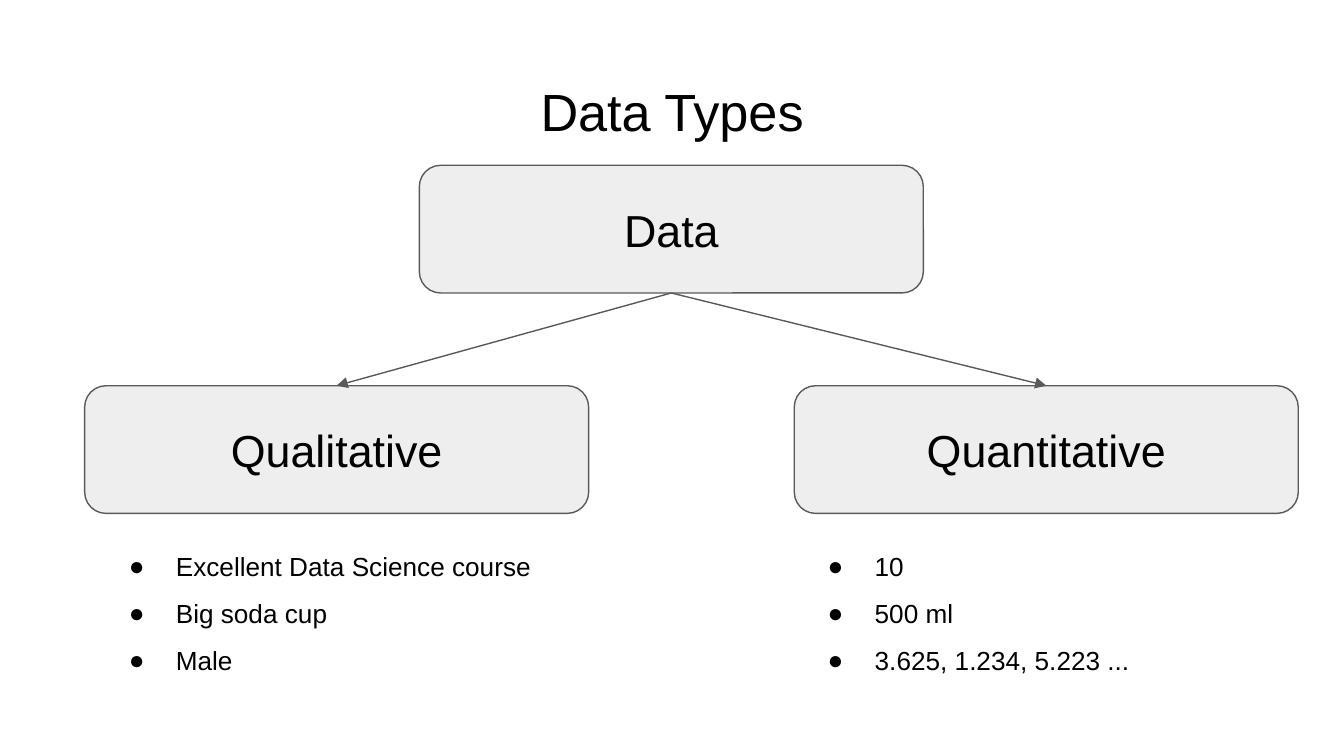
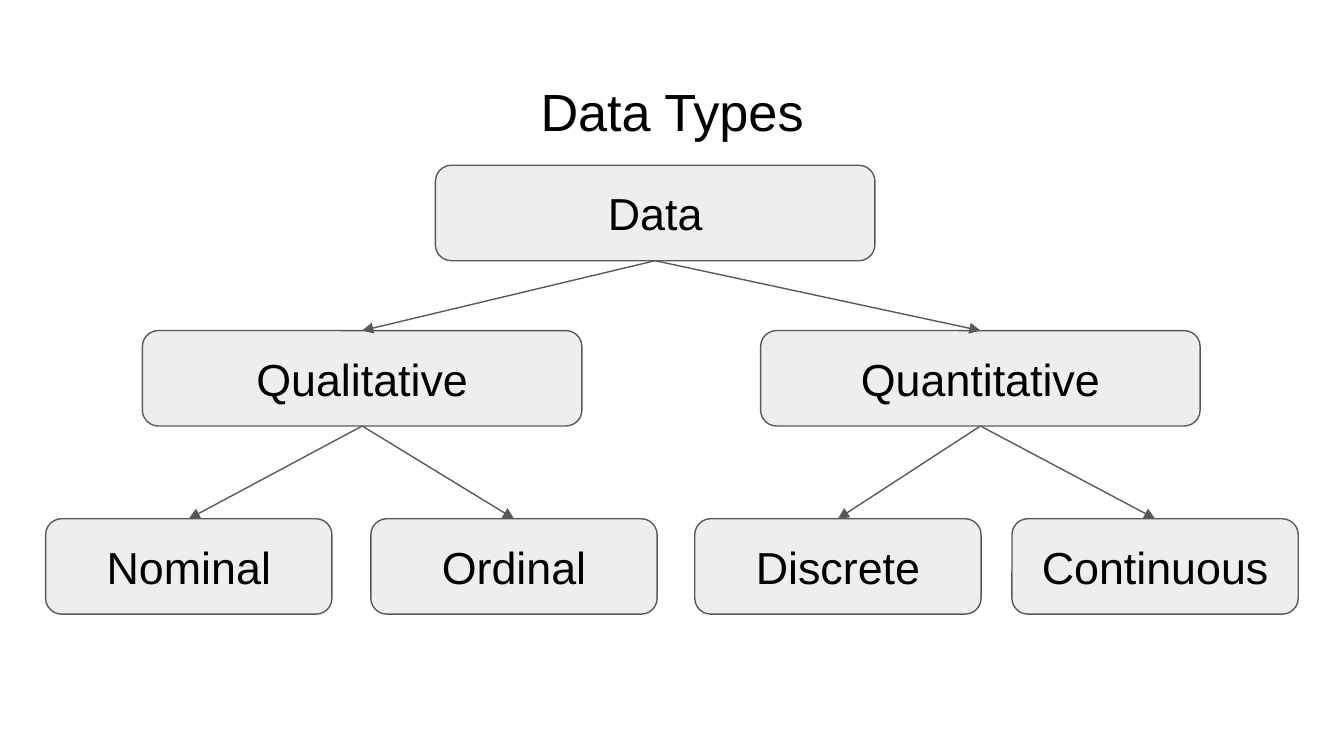
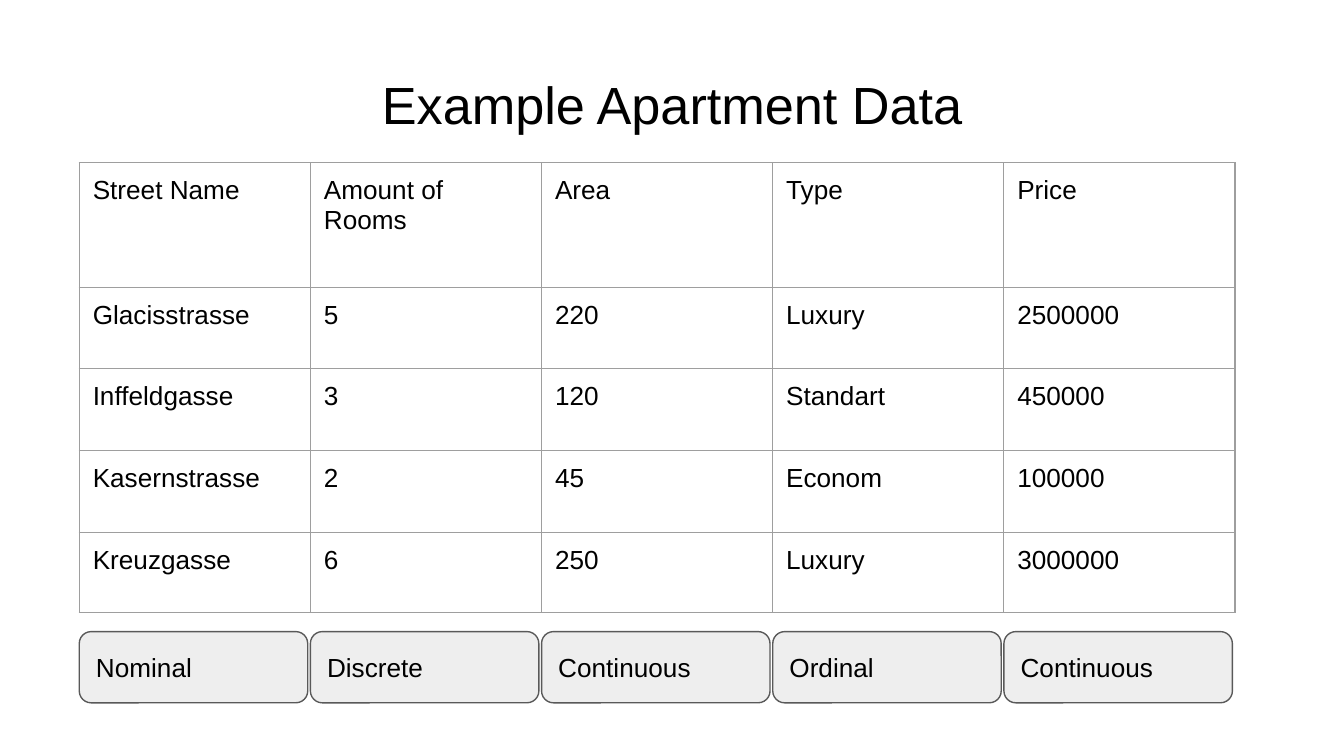
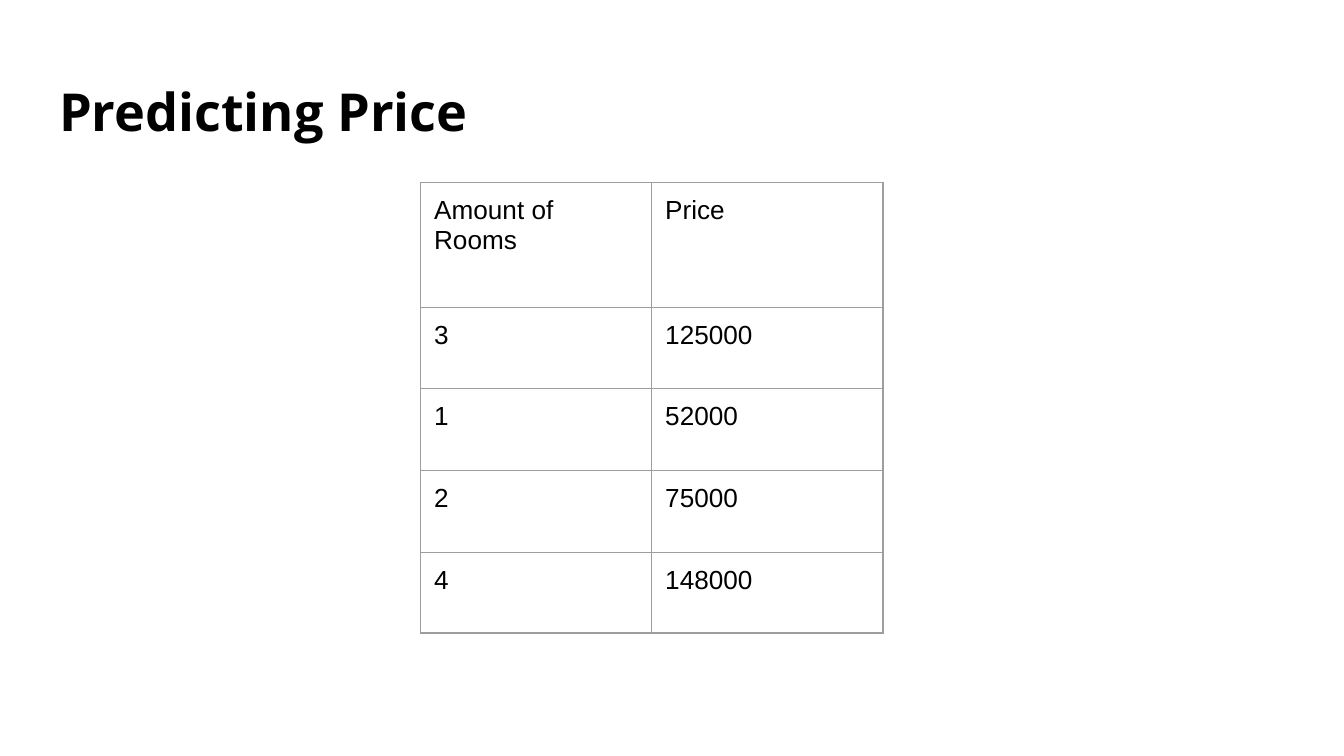
from lxml import etree
from pptx import Presentation
from pptx.dml.color import RGBColor
from pptx.enum.shapes import MSO_CONNECTOR, MSO_SHAPE
from pptx.enum.text import MSO_ANCHOR, MSO_AUTO_SIZE, PP_ALIGN
from pptx.oxml.ns import qn
from pptx.util import Inches, Pt

LEFT, CENTER = PP_ALIGN.LEFT, PP_ALIGN.CENTER
TOP, MIDDLE = MSO_ANCHOR.TOP, MSO_ANCHOR.MIDDLE
ROUNDED = MSO_SHAPE.ROUNDED_RECTANGLE
STRAIGHT = MSO_CONNECTOR.STRAIGHT
NO_AUTOFIT = MSO_AUTO_SIZE.NONE
TITLE_ONLY = 5
TOP_SITE, BOTTOM_SITE = 0, 2


def color(hex_code):
    return RGBColor.from_string(hex_code)


def add_xml(parent, tag, **attributes):
    return etree.SubElement(parent, qn(tag), attributes)


class Deck:
    """Shared style and the slide being built."""

    INK, BOX, EDGE, GRID = "000000", "EEEEEE", "595959", "9E9E9E"
    FONT, TITLE_FONT = "Arial", "Open Sans"
    TITLE, NODE, BODY = 28, 24, 14
    LINE = 0.75
    COLUMN = 1.72
    ROWS = [0.93, 0.6, 0.61, 0.61, 0.6]

    def __init__(self):
        self.presentation = Presentation()
        # 16:9 page
        self.presentation.slide_width = Inches(10)
        self.presentation.slide_height = Inches(10) * 9 // 16
        self.slide = None

    def style_text(self, frame, size, align=LEFT, anchor=TOP, font=FONT, bold=False):
        frame.word_wrap = True
        frame.vertical_anchor = anchor
        frame.margin_left = frame.margin_right = Inches(0.1)
        frame.margin_top = frame.margin_bottom = Inches(0.1)
        for paragraph in frame.paragraphs:
            paragraph.alignment = align
            for run in paragraph.runs:
                run.font.name = font
                run.font.size = Pt(size)
                run.font.bold = bold
                run.font.color.rgb = color(self.INK)

    def new_slide(self, heading, top=0.49, **style):
        layout = self.presentation.slide_layouts[TITLE_ONLY]
        self.slide = self.presentation.slides.add_slide(layout)
        title = self.slide.shapes.title
        title.left, title.top = Inches(0.34), Inches(top)
        title.width, title.height = Inches(9.32), Inches(0.63)
        title.text_frame.text = heading
        title.text_frame.auto_size = NO_AUTOFIT
        self.style_text(title.text_frame, self.TITLE, **style)

    def box(self, label, left, top, width, height, size=NODE, align=CENTER):
        box = self.slide.shapes.add_shape(
            ROUNDED, Inches(left), Inches(top), Inches(width), Inches(height))
        box.shadow.inherit = False
        box.fill.solid()
        box.fill.fore_color.rgb = color(self.BOX)
        box.line.color.rgb = color(self.EDGE)
        box.line.width = Pt(self.LINE)
        box.text_frame.text = label
        self.style_text(box.text_frame, size, align, MIDDLE)
        return box

    def branch(self, parent, children):
        for child in children:
            arrow = self.slide.shapes.add_connector(STRAIGHT, 0, 0, 0, 0)
            arrow.begin_connect(parent, BOTTOM_SITE)
            arrow.end_connect(child, TOP_SITE)
            arrow.line.color.rgb = color(self.EDGE)
            arrow.line.width = Pt(self.LINE)
            add_xml(arrow.line._get_or_add_ln(), "a:tailEnd", type="triangle")
            add_xml(arrow._element.spPr, "a:effectLst")

    def bullets(self, items, left, top, width, height):
        area = self.slide.shapes.add_textbox(
            Inches(left), Inches(top), Inches(width), Inches(height))
        frame = area.text_frame
        frame.text = "\n".join(items)
        for paragraph in frame.paragraphs:
            paragraph.line_spacing = 1.5
            properties = paragraph._p.get_or_add_pPr()
            properties.set("marL", str(Inches(0.5)))
            properties.set("indent", str(Inches(-0.35)))
            bullet_color = add_xml(properties, "a:buClr")
            add_xml(bullet_color, "a:srgbClr", val=self.INK)
            add_xml(properties, "a:buSzPts", val=str(self.BODY * 100))
            add_xml(properties, "a:buFont", typeface=self.FONT)
            add_xml(properties, "a:buChar", char="●")
        self.style_text(frame, self.BODY)

    def table(self, records, left, top):
        columns = len(records[0])
        table = self.slide.shapes.add_table(
            len(records), columns, Inches(left), Inches(top),
            Inches(self.COLUMN * columns), Inches(sum(self.ROWS))).table
        table.first_row = table.horz_banding = False
        for column in table.columns:
            column.width = Inches(self.COLUMN)
        for row, height, record in zip(table.rows, self.ROWS, records):
            row.height = Inches(height)
            for cell, value in zip(row.cells, record):
                cell.text_frame.text = value
                self.style_text(cell.text_frame, self.BODY)
                cell.margin_left = cell.margin_right = Inches(0.1)
                cell.margin_top = cell.margin_bottom = Inches(0.1)
                self.cell_borders(cell)
                cell.fill.background()

    def cell_borders(self, cell):
        properties = cell._tc.get_or_add_tcPr()
        for side in "LRTB":
            border = add_xml(properties, f"a:ln{side}", w=str(Pt(self.LINE)))
            fill = add_xml(border, "a:solidFill")
            add_xml(fill, "a:srgbClr", val=self.GRID)


def main():
    deck = Deck()

    # Two kinds of data with examples
    deck.new_slide("Data Types", align=CENTER)
    size = (3.75, 0.95)
    data = deck.box("Data", 3.12, 1.23, *size)
    kinds = [deck.box(label, left, 2.87, *size)
             for label, left in [("Qualitative", 0.63), ("Quantitative", 5.91)]]
    deck.branch(data, kinds)
    examples = [
        (0.71, ["Excellent Data Science course", "Big soda cup", "Male"]),
        (5.91, ["10", "500 ml", "3.625, 1.234, 5.223 ..."]),
    ]
    for left, items in examples:
        deck.bullets(items, left, 3.88, 3.59, 1.67)

    # Full tree of data types
    deck.new_slide("Data Types", align=CENTER)
    size = (3.27, 0.71)
    data = deck.box("Data", 3.24, 1.23, *size)
    tree = [
        ("Qualitative", 1.06, [("Nominal", 0.34), ("Ordinal", 2.76)]),
        ("Quantitative", 5.66, [("Discrete", 5.17), ("Continuous", 7.53)]),
    ]
    for label, left, subtypes in tree:
        kind = deck.box(label, left, 2.46, *size)
        deck.branch(data, [kind])
        deck.branch(kind, [deck.box(subtype, x, 3.86, 2.13, 0.71)
                           for subtype, x in subtypes])

    # Apartment table with the type of each column
    deck.new_slide("Example Apartment Data", top=0.44, align=CENTER)
    apartments = [
        ["Street Name", "Amount of Rooms", "Area", "Type", "Price"],
        ["Glacisstrasse", "5", "220", "Luxury", "2500000"],
        ["Inffeldgasse", "3", "120", "Standart", "450000"],
        ["Kasernstrasse", "2", "45", "Econom", "100000"],
        ["Kreuzgasse", "6", "250", "Luxury", "3000000"],
    ]
    table_left = 0.59
    deck.table(apartments, table_left, 1.21)
    column_types = ["Nominal", "Discrete", "Continuous", "Ordinal", "Continuous"]
    for index, label in enumerate(column_types):
        deck.box(label, table_left + index * deck.COLUMN, 4.7, 1.7, 0.53,
                 size=deck.BODY, align=LEFT)

    # Price by number of rooms
    deck.new_slide("Predicting Price", font=deck.TITLE_FONT, bold=True)
    prices = [
        ["Amount of Rooms", "Price"],
        ["3", "125000"],
        ["1", "52000"],
        ["2", "75000"],
        ["4", "148000"],
    ]
    deck.table(prices, 3.13, 1.36)

    deck.presentation.save("out.pptx")


if __name__ == "__main__":
    main()
